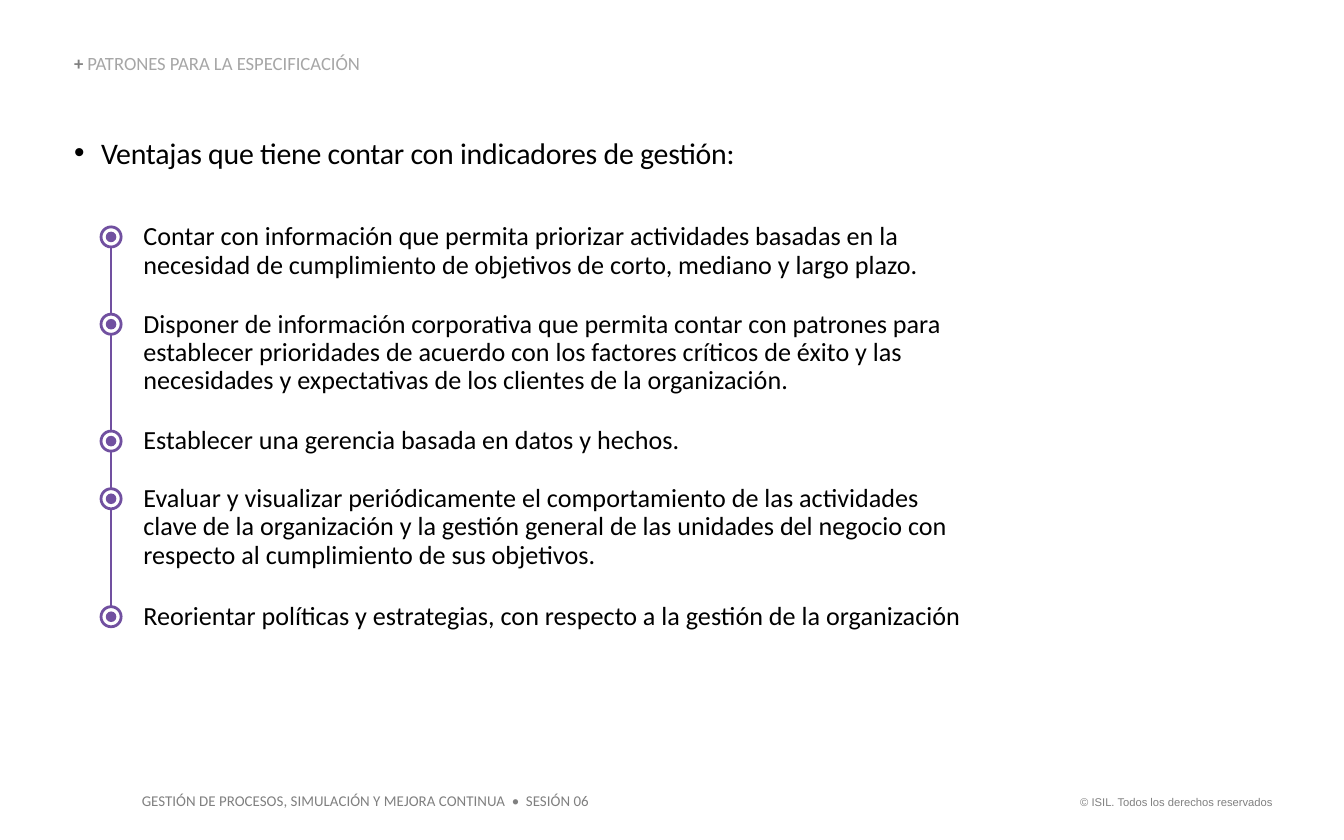
from dataclasses import dataclass

from lxml import etree
from pptx import Presentation
from pptx import util as u
from pptx.dml.color import RGBColor
from pptx.enum import shapes, text
from pptx.oxml import ns


@dataclass(frozen=True)
class Theme:
    """Colours, fonts and type sizes of the slide."""
    accent: str = "7150A0"
    paper: str = "FFFFFF"
    ink: str = "000000"
    grey: str = "808080"
    pale_grey: str = "A6A6A6"
    body_font: str = "Calibri"
    legal_font: str = "Arial"
    heading: float = 10
    lead: float = 16
    item: float = 14
    footer: float = 8
    legal: float = 6


THEME = Theme()
RING, DOT = 0.38, 0.2
LINE_HEIGHT = 0.54
MARKER_DROP = 0.26
ADVANTAGES = [
    (0, 15.7, 2, "Contar con información que permita priorizar actividades basadas en la "
     "necesidad de cumplimiento de objetivos de corto, mediano y largo plazo."),
    (1.65, 15.9, 3, "Disponer de información corporativa que permita contar con patrones para "
     "establecer prioridades de acuerdo con los factores críticos de éxito y las "
     "necesidades y expectativas de los clientes de la organización."),
    (3.86, 15.34, 1, "Establecer una gerencia basada en datos y hechos."),
    (4.95, 15.34, 3, "Evaluar y visualizar periódicamente el comportamiento de las actividades "
     "clave de la organización y la gestión general de las unidades del negocio con "
     "respecto al cumplimiento de sus objetivos."),
    (7.18, 15.9, 1, "Reorientar políticas y estrategias, con respecto a la gestión de la organización"),
]


def add_text_box(slide, left, top, width, height, inset=(0, 0)):
    """Add a wrapping text box and return its first paragraph."""
    box = slide.shapes.add_textbox(u.Cm(left), u.Cm(top), u.Cm(width), u.Cm(height))
    frame = box.text_frame
    frame.word_wrap = True
    frame.margin_left = frame.margin_right = u.Cm(inset[0])
    frame.margin_top = frame.margin_bottom = u.Cm(inset[1])
    return box, frame.paragraphs[0]


def add_run(paragraph, words, size, colour, font=THEME.body_font, bold=False):
    """Add one formatted run to a paragraph."""
    run = paragraph.add_run()
    run.text = words
    run.font.name = font
    run.font.size = u.Pt(size)
    run.font.bold = bold
    run.font.color.rgb = RGBColor.from_string(colour)
    return run


def add_bullet(paragraph, indent):
    """Give a paragraph a round bullet with a hanging indent."""
    properties = paragraph._p.get_or_add_pPr()
    properties.set("marL", str(u.Cm(indent)))
    properties.set("indent", str(-u.Cm(indent)))
    etree.SubElement(properties, ns.qn("a:buFont")).set("typeface", THEME.legal_font)
    etree.SubElement(properties, ns.qn("a:buChar")).set("char", "•")


def add_disc(group, centre_x, centre_y, diameter, fill, outline=None):
    """Add a circle around a centre point."""
    disc = group.shapes.add_shape(
        shapes.MSO_SHAPE.OVAL, u.Cm(centre_x - diameter / 2), u.Cm(centre_y - diameter / 2),
        u.Cm(diameter), u.Cm(diameter))
    disc.shadow.inherit = False
    disc.fill.solid()
    disc.fill.fore_color.rgb = RGBColor.from_string(fill)
    if outline:
        disc.line.color.rgb = RGBColor.from_string(outline)
        disc.line.width = u.Pt(1.5)
    else:
        disc.line.fill.background()


def add_heading(slide, left, top, width, height):
    """Place the section heading."""
    box, paragraph = add_text_box(slide, left, top, width, height)
    box.text_frame.vertical_anchor = text.MSO_ANCHOR.BOTTOM
    paragraph.line_spacing = 0.9
    add_run(paragraph, "+ ", THEME.heading, THEME.grey, bold=True)
    add_run(paragraph, "PATRONES PARA LA ESPECIFICACIÓN", THEME.heading, THEME.pale_grey)


def add_lead(slide, left, top, width, height):
    """Place the bulleted lead sentence."""
    _, paragraph = add_text_box(slide, left, top, width, height)
    add_bullet(paragraph, 0.51)
    paragraph.space_after = u.Pt(6)
    run = add_run(paragraph, "Ventajas que tiene contar con indicadores de gestión:",
                  THEME.lead, THEME.ink)
    run._r.get_or_add_rPr().set("spc", "-10")


def add_timeline(slide, left, top):
    """Place the advantages beside a vertical line of markers."""
    axis = left + RING / 2
    first, last = (top + ADVANTAGES[index][0] + MARKER_DROP for index in (0, -1))
    line = slide.shapes.add_connector(
        shapes.MSO_CONNECTOR.STRAIGHT, u.Cm(axis), u.Cm(first - 0.13), u.Cm(axis), u.Cm(last + 0.13))
    line.line.color.rgb = RGBColor.from_string(THEME.accent)
    line.line.width = u.Pt(1)
    etree.SubElement(line._element.spPr, ns.qn("a:effectLst"))
    for offset, width, rows, words in ADVANTAGES:
        _, paragraph = add_text_box(slide, left + 0.8, top + offset, width, rows * LINE_HEIGHT)
        paragraph.line_spacing = 0.9
        add_run(paragraph, words, THEME.item, THEME.ink)
        marker = slide.shapes.add_group_shape()
        centre = top + offset + MARKER_DROP
        add_disc(marker, axis, centre, RING, THEME.paper, THEME.accent)
        add_disc(marker, axis, centre, DOT, THEME.accent)


def add_footer(slide, left, top, width):
    """Place the course name and the copyright line at the two ends of the footer."""
    inset = (0.25, 0.13)
    legal_width = 4.29
    _, legal = add_text_box(slide, left + width - legal_width, top + 0.08, legal_width, 0.51, inset)
    legal.alignment = text.PP_ALIGN.RIGHT
    add_run(legal, "© ISIL. Todos los derechos reservados", THEME.legal, THEME.grey, THEME.legal_font)
    _, course = add_text_box(slide, left, top, 8.97, 0.6, inset)
    add_run(course, "GESTIÓN DE PROCESOS, SIMULACIÓN Y MEJORA CONTINUA  •  SESIÓN 06",
            THEME.footer, THEME.grey)


def main():
    """Build and save the presentation."""
    presentation = Presentation()
    presentation.slide_width, presentation.slide_height = u.Cm(25.4), u.Cm(15.88)
    slide = presentation.slides.add_slide(presentation.slide_layouts[6])
    add_footer(slide, 2.43, 14.83, 21.87)
    add_heading(slide, 1.4, 1.04, 6.76, 0.38)
    add_lead(slide, 1.4, 2.54, 22.5, 0.69)
    add_timeline(slide, 1.91, 4.22)
    presentation.save("out.pptx")


if __name__ == "__main__":
    main()
